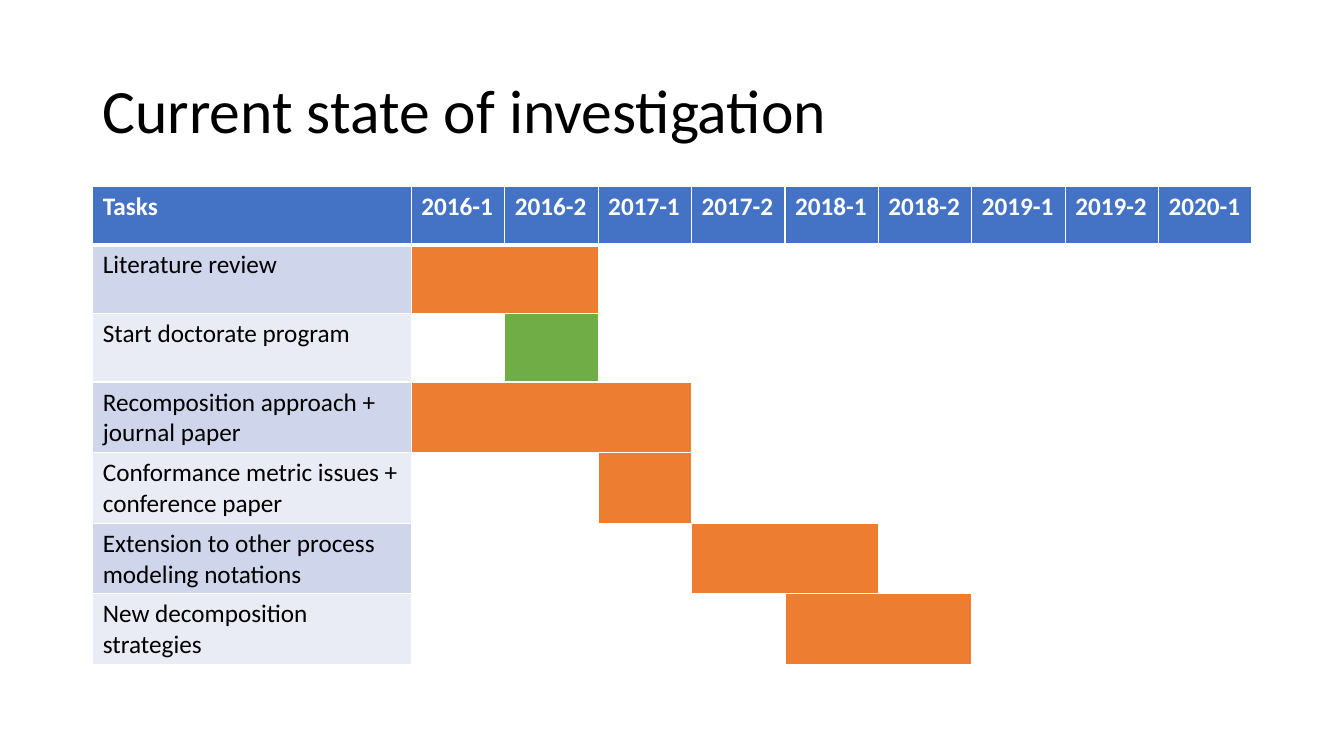
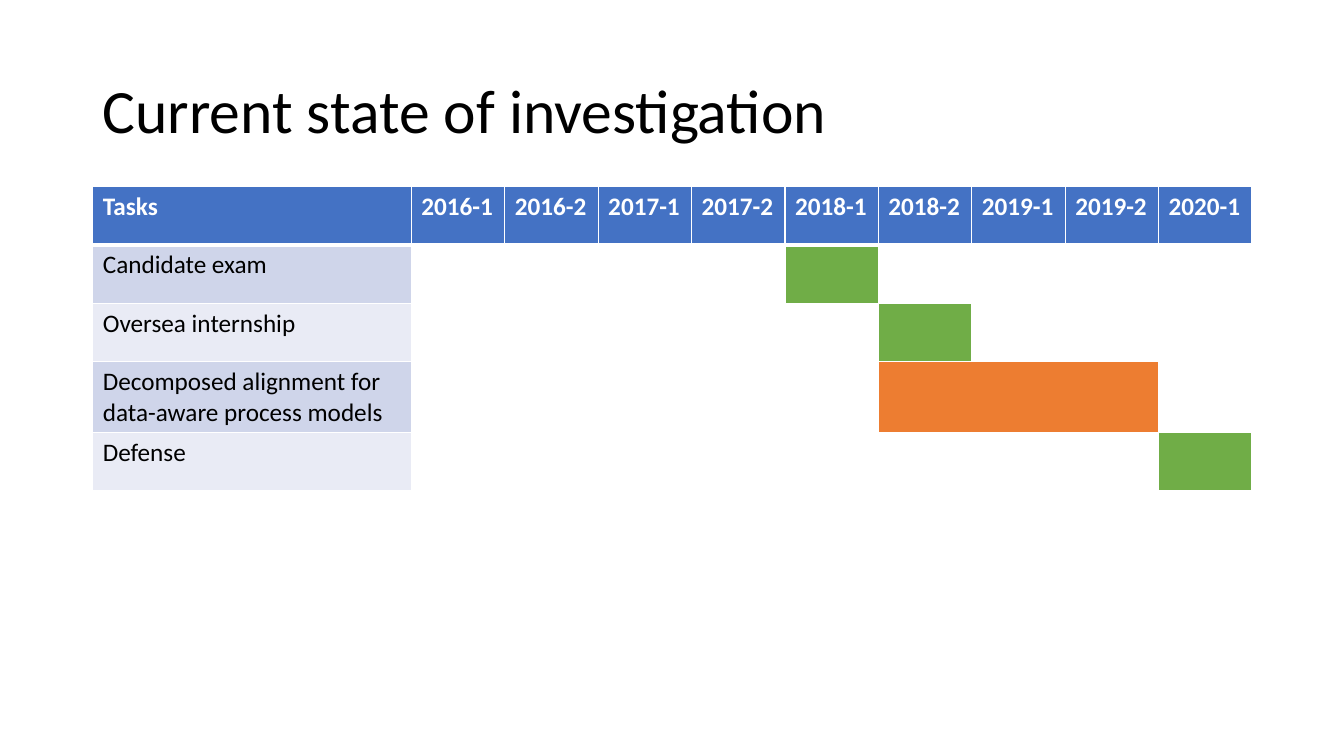
from lxml.etree import SubElement
from pptx import Presentation
from pptx.dml.color import RGBColor
from pptx.enum.text import MSO_ANCHOR
from pptx.oxml.ns import qn
from pptx.util import Inches, Pt

WHITE = RGBColor(0xFF, 0xFF, 0xFF)
BLACK = RGBColor(0x00, 0x00, 0x00)
HEADER_BLUE = RGBColor(0x44, 0x72, 0xC4)
BANDS = [RGBColor(0xCF, 0xD5, 0xEA), RGBColor(0xE9, 0xEB, 0xF5)]
WORK = RGBColor(0xED, 0x7D, 0x31)
MILESTONE = RGBColor(0x70, 0xAD, 0x47)

FONT = "Calibri"
LEFT, CONTENT_WIDTH = Inches(0.92), Inches(11.5)
TITLE_TOP, TITLE_HEIGHT = Inches(0.4), Inches(1.45)
TASK_WIDTH = Inches(3.16)
ROW, TALL_ROW = 0.58, 0.68
PERIODS = ["2016-1", "2016-2", "2017-1", "2017-2", "2018-1",
           "2018-2", "2019-1", "2019-2", "2020-1"]

# Each task: name, first period, last period, bar colour, row height
SCHEDULES = [
    [("Literature review", "2016-1", "2016-2", WORK, TALL_ROW),
     ("Start doctorate program", "2016-2", "2016-2", MILESTONE, TALL_ROW),
     ("Recomposition approach + journal paper", "2016-1", "2017-1", WORK, TALL_ROW),
     ("Conformance metric issues + conference paper", "2017-1", "2017-1", WORK, ROW),
     ("Extension to other process modeling notations", "2017-2", "2018-1", WORK, ROW),
     ("New decomposition strategies", "2018-1", "2018-2", WORK, ROW)],
    [("Candidate exam", "2018-1", "2018-1", MILESTONE, ROW),
     ("Oversea internship", "2018-2", "2018-2", MILESTONE, ROW),
     ("Decomposed alignment for data-aware process models", "2018-2", "2019-2", WORK, ROW),
     ("Defense", "2020-1", "2020-1", MILESTONE, ROW)],
]


def write(frame, text, size, color, bold=False):
    """Fill a text frame with one styled paragraph and return it."""
    paragraph = frame.paragraphs[0]
    paragraph.text = text
    font = paragraph.font
    font.name, font.size, font.bold = FONT, Pt(size), bold
    font.color.rgb = color
    return paragraph


def outline(cell, top=1, bottom=1):
    """Draw white borders round a cell, with widths in points."""
    properties = cell._tc.get_or_add_tcPr()
    for side, width in (("L", 1), ("R", 1), ("T", top), ("B", bottom)):
        line = SubElement(properties, qn(f"a:ln{side}"), w=str(Pt(width)))
        SubElement(SubElement(line, qn("a:solidFill")), qn("a:srgbClr"), val=str(WHITE))


deck = Presentation()
deck.slide_width, deck.slide_height = Inches(13.33), Inches(7.5)

for tasks in SCHEDULES:
    slide = deck.slides.add_slide(deck.slide_layouts[6])

    title = slide.shapes.add_textbox(LEFT, TITLE_TOP, CONTENT_WIDTH, TITLE_HEIGHT).text_frame
    title.word_wrap = True
    title.vertical_anchor = MSO_ANCHOR.MIDDLE
    write(title, "Current state of investigation", 44, BLACK).line_spacing = 0.9

    heights = [ROW] + [task[-1] for task in tasks]
    gantt = slide.shapes.add_table(
        len(heights), len(PERIODS) + 1, LEFT, TITLE_TOP + TITLE_HEIGHT,
        CONTENT_WIDTH, Inches(sum(heights))).table
    gantt.horz_banding = False
    for row, height in zip(gantt.rows, heights):
        row.height = Inches(height)
    for index, column in enumerate(gantt.columns):
        column.width = (CONTENT_WIDTH - TASK_WIDTH) // len(PERIODS) if index else TASK_WIDTH

    for index, row in enumerate(gantt.rows):
        for cell in row.cells:
            outline(cell, top=3 if index == 1 else 1, bottom=1 if index else 3)
            cell.fill.background()

    for cell, heading in zip(gantt.rows[0].cells, ["Tasks"] + PERIODS):
        cell.fill.solid()
        cell.fill.fore_color.rgb = HEADER_BLUE
        write(cell.text_frame, heading, 18, WHITE, bold=True)

    for index, (name, first, last, color, _) in enumerate(tasks, start=1):
        label = gantt.cell(index, 0)
        write(label.text_frame, name, 18, BLACK)
        start, end = PERIODS.index(first) + 1, PERIODS.index(last) + 1
        bar = gantt.cell(index, start)
        if end > start:
            bar.merge(gantt.cell(index, end))
        for cell, shade in ((label, BANDS[(index - 1) % 2]), (bar, color)):
            cell.fill.solid()
            cell.fill.fore_color.rgb = shade

deck.save("out.pptx")
